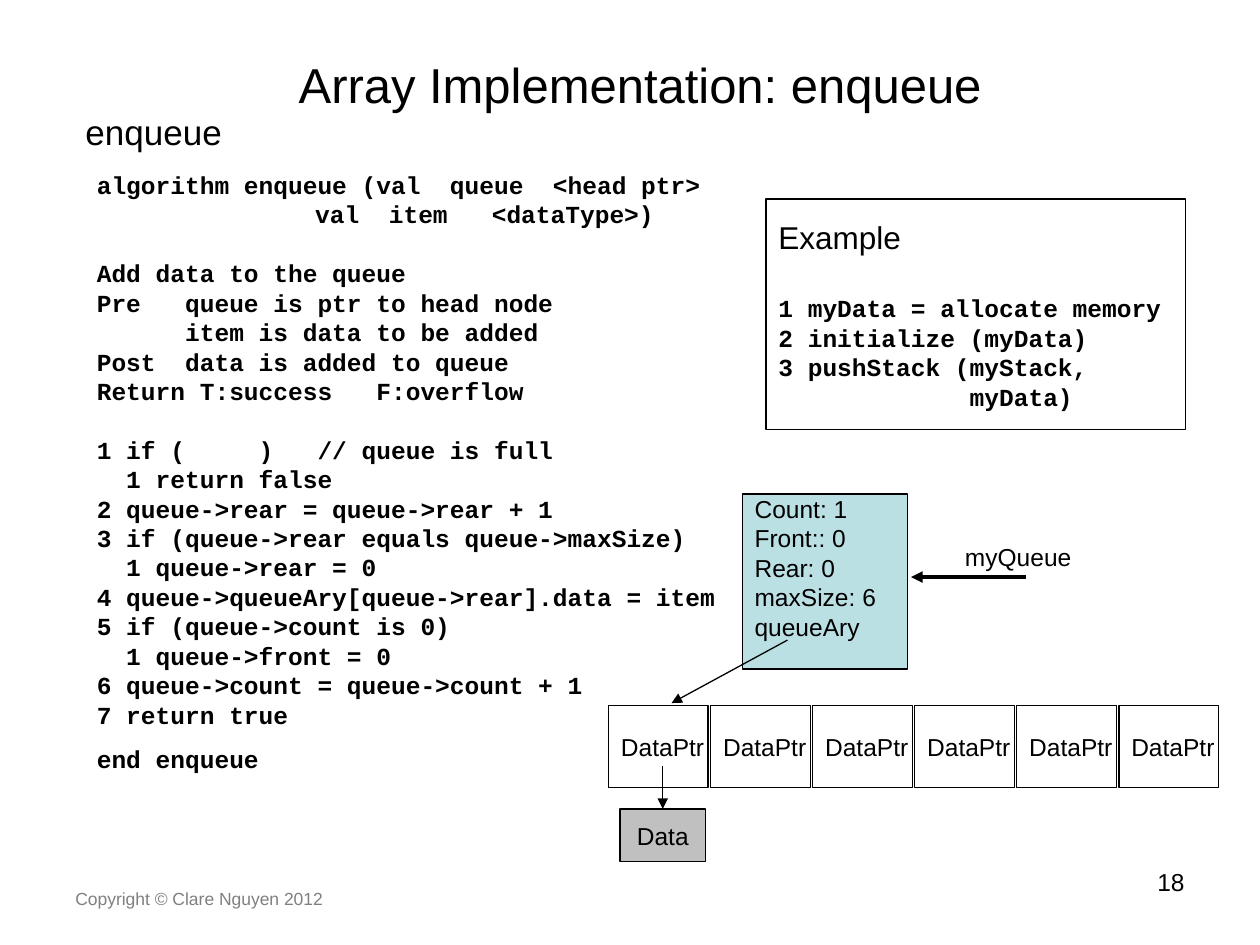
from pptx import Presentation
from pptx.dml.color import RGBColor
from pptx.enum.shapes import MSO_CONNECTOR as Connector, MSO_SHAPE as Shape
from pptx.enum.text import MSO_ANCHOR as Anchor, PP_ALIGN as Align
from pptx.oxml.ns import qn
from pptx.util import Inches, Pt
from lxml.etree import SubElement

BLACK = RGBColor(0x00, 0x00, 0x00)
GRAY = RGBColor(0x80, 0x80, 0x80)
SILVER = RGBColor(0xC0, 0xC0, 0xC0)
TEAL = RGBColor(0xBB, 0xE0, 0xE3)
SANS, MONO = "Arial", "Courier New"
LINE_FACTOR = 1.2

SIGNATURE = [
    "algorithm enqueue (val  queue  <head ptr>",
    "        \t\t  val  item   <dataType>)",
]
CONTRACT = [
    "Add data to the queue",
    "Pre   queue is ptr to head node",
    "      item is data to be added",
    "Post  data is added to queue",
    "Return T:success   F:overflow",
]
STEPS = [
    "1 if (     )   // queue is full",
    "  1 return false",
    "2 queue->rear = queue->rear + 1",
    "3 if (queue->rear equals queue->maxSize)",
    "  1 queue->rear = 0",
    "4 queue->queueAry[queue->rear].data = item",
    "5 if (queue->count is 0)",
    "  1 queue->front = 0",
    "6 queue->count = queue->count + 1",
    "7 return true",
]
EXAMPLE_CODE = [
    "1 myData = allocate memory",
    "2 initialize (myData)",
    "3 pushStack (myStack,",
    "             myData)",
]
HEAD_FIELDS = ["Count: 1", "Front:: 0", "Rear: 0", "maxSize: 6", "queueAry"]


def write_lines(frame, lines, size=14, font=SANS, bold=False, color=BLACK,
                align=Align.LEFT, gap=0):
    """Append lines to a frame; gap is the space before the first of them."""
    for index, text in enumerate(lines):
        unused = len(frame.paragraphs) == 1 and not frame.paragraphs[0].runs
        para = frame.paragraphs[0] if unused else frame.add_paragraph()
        para.alignment = align
        para.line_spacing = Pt(size * LINE_FACTOR)
        if index == 0 and gap:
            para.space_before = Pt(gap)
        span = para.add_run()
        span.text = text
        span.font.size, span.font.name = Pt(size), font
        span.font.bold = bold
        span.font.color.rgb = color


def add_text(page, left, top, width, height, anchor=Anchor.TOP):
    box = page.shapes.add_textbox(Inches(left), Inches(top), Inches(width), Inches(height))
    frame = box.text_frame
    frame.word_wrap = True
    frame.vertical_anchor = anchor
    return frame


def add_box(page, left, top, width, height, fill=None):
    box = page.shapes.add_shape(
        Shape.RECTANGLE, Inches(left), Inches(top), Inches(width), Inches(height))
    box.shadow.inherit = False
    if fill is None:
        box.fill.background()
    else:
        box.fill.solid()
        box.fill.fore_color.rgb = fill
    box.line.color.rgb = BLACK
    box.line.width = Pt(0.75)
    box.text_frame.word_wrap = False
    box.text_frame.vertical_anchor = Anchor.MIDDLE
    return box


def add_arrow(page, x1, y1, x2, y2, weight=0.75):
    arrow = page.shapes.add_connector(
        Connector.STRAIGHT, Inches(x1), Inches(y1), Inches(x2), Inches(y2))
    arrow.line.color.rgb = BLACK
    arrow.line.width = Pt(weight)
    SubElement(arrow.line._get_or_add_ln(), qn("a:tailEnd"), type="triangle")
    SubElement(arrow._element.spPr, qn("a:effectLst"))
    return arrow


def add_headings(page, left, top, width):
    title = add_text(page, left, top, width, 0.67, Anchor.MIDDLE)
    write_lines(title, ["Array Implementation: enqueue"], 28, align=Align.CENTER)
    write_lines(add_text(page, left, top + 0.5, width, 6.08), ["enqueue"], 20)


def add_algorithm(page, left, top, width, height):
    frame = add_text(page, left, top, width, height, Anchor.MIDDLE)
    line_gap = 14 * LINE_FACTOR
    blocks = [(SIGNATURE, 0), (CONTRACT, line_gap), (STEPS, line_gap),
              (["end enqueue"], 8.8)]
    for lines, gap in blocks:
        write_lines(frame, lines, font=MONO, bold=True, gap=gap)


def add_example(page, left, top, width, height):
    frame = add_box(page, left, top, width, height).text_frame
    write_lines(frame, ["Example"], 18)
    write_lines(frame, EXAMPLE_CODE, font=MONO, bold=True, gap=18 * LINE_FACTOR)


def add_queue_head(page, left, top, width, height):
    frame = add_box(page, left, top, width, height, TEAL).text_frame
    frame.vertical_anchor = Anchor.TOP
    frame.margin_top = 0
    write_lines(frame, HEAD_FIELDS)

    # Pointer to the head, and from its last field to the array
    label = add_text(page, left + 1.67, top + 0.33, 1.09, 0.34)
    write_lines(label, ["myQueue"])
    add_arrow(page, left + 2.25, top + 0.66, left + 1.34, top + 0.66, 2.25)
    add_arrow(page, left + 0.36, top + 1.16, left - 0.56, top + 1.66)


def add_queue_array(page, left, top, cell_width, height, count=6, pitch=0.81):
    for index in range(count):
        cell = add_box(page, left + index * pitch, top, cell_width, height)
        write_lines(cell.text_frame, ["DataPtr"])

    # Data node below the first cell
    data_left, data_top, data_width = left + 0.09, top + 0.82, 0.68
    data = add_box(page, data_left, data_top, data_width, 0.42, SILVER)
    write_lines(data.text_frame, ["Data"], align=Align.CENTER)
    center = data_left + data_width / 2
    add_arrow(page, center, top + 0.48, center, data_top).end_connect(data, 0)


def add_footer(page, left, top):
    copyright_line = add_text(page, left, top, 3.17, 0.27)
    write_lines(copyright_line, ["Copyright © Clare Nguyen 2012"], 10, color=GRAY)
    number = add_text(page, left + 6.67, top - 0.17, 2.33, 0.52)
    write_lines(number, ["18"], align=Align.RIGHT)


def main():
    deck = Presentation()
    deck.slide_width, deck.slide_height = Inches(10), Inches(7.5)
    page = deck.slides.add_slide(deck.slide_layouts[6])
    add_footer(page, 0.5, 7)
    add_headings(page, 0.58, 0.33, 9)
    add_algorithm(page, 0.67, 1.3, 5.42, 4.89)
    add_example(page, 6.08, 1.58, 3.33, 1.83)
    add_queue_head(page, 5.89, 3.92, 1.31, 1.39)
    add_queue_array(page, 4.83, 5.6, 0.79, 0.65)
    deck.save("out.pptx")


if __name__ == "__main__":
    main()
